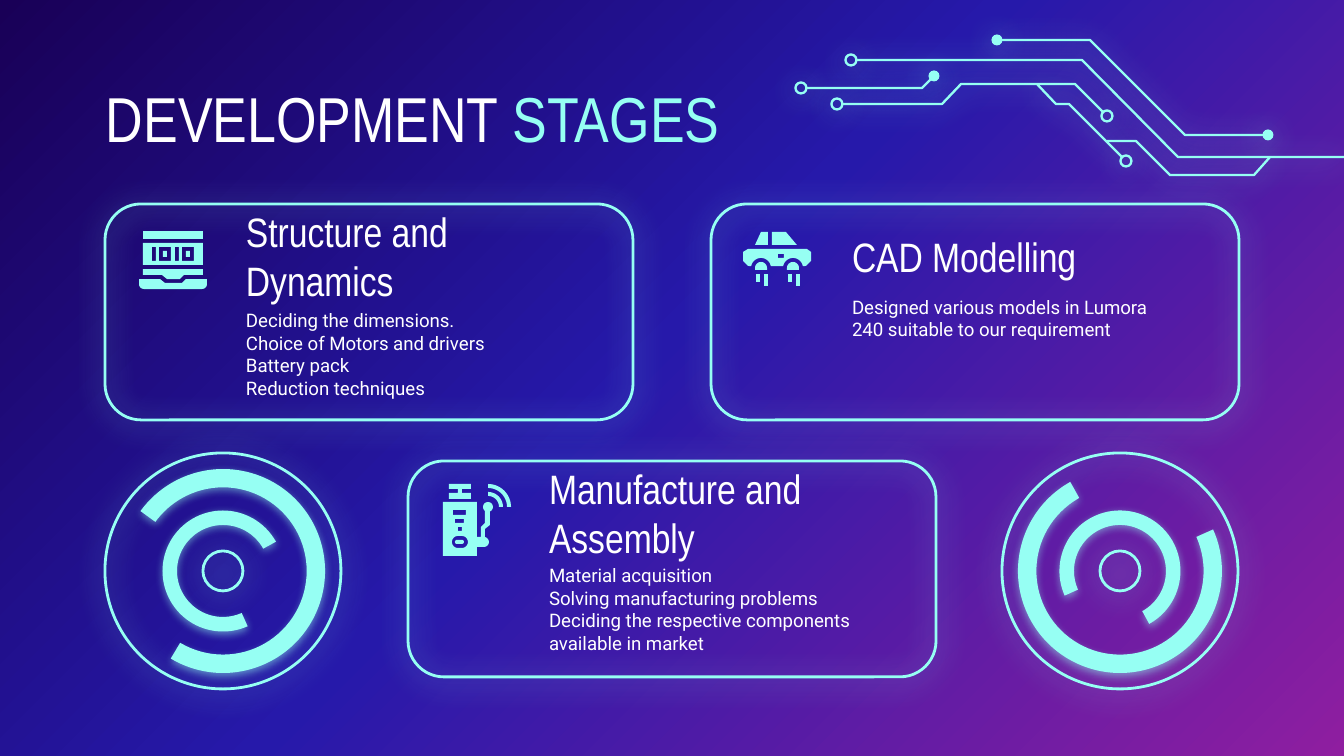
from math import cos, radians, sin

from pptx import Presentation
from pptx.dml.color import RGBColor
from pptx.enum.shapes import MSO_SHAPE
from pptx.enum.text import MSO_ANCHOR, PP_ALIGN
from pptx.oxml import parse_xml
from pptx.oxml.ns import nsdecls, qn
from pptx.util import Pt

PX = 914400 / 134.4
FINE = 100  # freeform units per px, so that arcs stay smooth
WIDTH, HEIGHT = 1344, 756
AQUA = RGBColor(0x96, 0xFF, 0xF3)
WHITE = RGBColor(0xFF, 0xFF, 0xFF)
BACKGROUND = [(0, RGBColor(0x19, 0x00, 0x57)), (48, RGBColor(0x26, 0x19, 0xAA)),
              (100, RGBColor(0x8F, 0x1E, 0xA0))]
HEADING_FONT, BODY_FONT = "Arial Narrow", "Roboto"
WIDE_GLOW = (67, 15.8)  # opacity in percent, blur in points
TIGHT_GLOW = (50, 4.5)


# Outline helpers: each returns a list of points
def box(left, top, right, bottom):
    return [(left, top), (right, top), (right, bottom), (left, bottom)]


def arc(x, y, radius, start, end, steps=16):
    angles = [radians(start + (end - start) * i / steps) for i in range(steps + 1)]
    return [(x + radius * cos(a), y + radius * sin(a)) for a in angles]


def band(x, y, inner, outer):
    return arc(x, y, outer, 270, 360) + arc(x, y, inner, 360, 270)


def pill(left, top, right, bottom):
    radius, middle = (bottom - top) / 2, (top + bottom) / 2
    return (arc(left + radius, middle, radius, 90, 270)
            + arc(right - radius, middle, radius, 270, 450))


def wheel(x):
    return arc(x, 268, 6, 180, 360) + [(x + 6, 270), (x - 6, 270)]


# Content: an icon is a list of parts, a part is an outline followed by its holes
LAPTOP = [
    [box(143, 231, 203, 239)],
    [box(143, 243, 203, 265), box(152, 247, 156, 261), box(159, 247, 171, 261),
     box(163, 251, 167, 257), box(175, 247, 179, 261), box(182, 247, 194, 261),
     box(186, 251, 190, 257)],
    [[(143, 269), (203, 269), (203, 275), (184, 275), (180, 279), (167, 279),
      (162, 275), (143, 275)]],
    [[(139, 279), (160, 279), (165, 283), (182, 283), (186, 279), (207, 279)]
     + arc(202, 284, 5, 0, 90) + arc(144, 284, 5, 90, 180)],
]
CAR = [
    [[(761, 232), (768, 232), (768, 245), (755, 245)]],
    [[(772, 232), (786, 232), (797, 245), (772, 245)]],
    [[(748, 249), (807, 249), (811, 252), (811, 261), (806, 266)]
     + arc(793, 268, 10, 350, 190) + arc(761, 268, 10, 350, 190)
     + [(748, 266), (743, 261), (743, 252)], box(778, 254, 784, 258)],
]
for axle in (761, 793):
    CAR += [[wheel(axle)], [box(axle - 5, 274, axle - 1, 282)],
            [box(axle + 3, 274, axle + 7, 286)]]
REMOTE = [
    [band(488, 507, 11, 15)],
    [band(488, 507, 19, 23)],
    [[(449, 484), (471, 484), (471, 489), (462, 489), (462, 493), (471, 493),
      (471, 499), (449, 499), (449, 493), (458, 493), (458, 489), (449, 489)]],
    [arc(488, 507, 5, 0, 360)],
    [[(443, 502), (477, 502), (477, 537), (481, 537), (481, 527), (485, 523),
      (485, 509), (490, 509), (490, 525), (485, 529), (485, 537)]
     + arc(484, 542, 5, -90, 90) + [(477, 547), (477, 556), (443, 556)],
     box(453, 510, 466, 515), box(455, 519, 464, 523), box(458, 527, 462, 531),
     pill(452, 536, 468, 548)],
    [pill(455, 540, 464, 544)],
]

TITLE = [("DEVELOPMENT ", WHITE), ("STAGES", AQUA)]
# left, top, icon, heading, lines, body offset, body height
CARDS = [
    (105, 204, LAPTOP, "Structure and Dynamics",
     ["Deciding the dimensions.", "Choice of Motors and drivers", "Battery pack",
      "Reduction techniques"], 108, 84),
    (711, 204, CAR, "CAD Modelling",
     ["Designed various models in Lumora 240 suitable to our requirement"], 61, 106),
    (408, 461, REMOTE, "Manufacture and Assembly",
     ["Material acquisition", "Solving manufacturing problems",
      "Deciding the respective components available in market"], 95, 106),
]
CARD_SIZE = (528, 216)
TEXT_OFFSET, TEXT_WIDTH = 128, 344

TRACES = [
    [(806, 88), (922, 88), (934, 76)],
    [(997, 40), (1090, 40), (1185, 135), (1268, 135)],
    [(856, 60), (1082, 60), (1178, 157), (1344, 157)],
    [(842, 104), (942, 104), (961, 84), (1075, 84), (1103, 112)],
    [(1037, 84), (1056, 104), (1069, 104), (1122, 157)],
    [(1107, 141), (1136, 141), (1170, 175), (1254, 175), (1270, 157)],
]
RINGS = [(801, 88), (851, 60), (837, 104), (1107, 116), (1126, 161)]
DOTS = [(934, 76), (997, 40), (1268, 135)]

# centre x, centre y, rotation of outer arc, rotation of inner arc
DIALS = [(223, 571, 90, 300), (1120, 571, 210, 30)]


def px(*values):
    return [round(value * PX) for value in values]


def style(shape, fill=None, line=None, glow=None):
    if fill is None:
        shape.fill.background()
    else:
        shape.fill.solid()
        shape.fill.fore_color.rgb = fill
    if line is None:
        shape.line.fill.background()
    else:
        shape.line.color.rgb = AQUA
        shape.line.width = Pt(line)
    shape.shadow.inherit = False
    if glow:
        opacity, blur = glow
        shape._element.spPr.find(qn("a:effectLst")).append(parse_xml(
            f'<a:outerShdw {nsdecls("a")} blurRad="{Pt(blur)}" dist="{Pt(1.5)}" '
            f'dir="5400000" algn="bl" rotWithShape="0"><a:srgbClr val="{AQUA}">'
            f'<a:alpha val="{opacity * 1000}"/></a:srgbClr></a:outerShdw>'))
    return shape


def add_outline(shapes, contours, close=True):
    fine = [[(x * FINE, y * FINE) for x, y in points] for points in contours]
    builder = shapes.build_freeform(*fine[0][0], scale=PX / FINE)
    for number, points in enumerate(fine):
        if number:
            builder.move_to(*points[0])
        builder.add_line_segments(points[1:], close=close)
    return builder.convert_to_shape()


def add_centred(shapes, kind, x, y, size):
    return shapes.add_shape(kind, *px(x - size / 2, y - size / 2, size, size))


def write(para, text, font, size, color):
    span = para.add_run()
    span.text = text
    for name, value in {"name": font, "size": Pt(size), "bold": False}.items():
        setattr(span.font, name, value)
    span.font.color.rgb = color


def add_text(page, place, lines, font, size):
    frame = page.shapes.add_textbox(*px(*place)).text_frame
    inset = px(13)[0]
    for name, value in {"word_wrap": True, "vertical_anchor": MSO_ANCHOR.MIDDLE,
                        "margin_left": inset, "margin_right": inset,
                        "margin_top": inset, "margin_bottom": inset}.items():
        setattr(frame, name, value)
    for number, line in enumerate(lines):
        para = frame.add_paragraph() if number else frame.paragraphs[0]
        write(para, line, font, size, WHITE)


def main():
    deck = Presentation()
    deck.slide_width, deck.slide_height = px(WIDTH, HEIGHT)
    page = deck.slides.add_slide(deck.slide_layouts[5])

    # Background gradient
    fill = page.background.fill
    fill.gradient()
    fill.gradient_angle = 315
    stops = page._element.find(".//" + qn("a:gsLst"))
    stops.clear()
    for position, color in BACKGROUND:
        stops.append(parse_xml(f'<a:gs {nsdecls("a")} pos="{position * 1000}">'
                               f'<a:srgbClr val="{color}"/></a:gs>'))

    # Title
    title = page.shapes.title
    title.left, title.top, title.width, title.height = px(106, 79, 1133, 85)
    frame = title.text_frame
    for side in ("left", "top", "right", "bottom"):
        setattr(frame, f"margin_{side}", 0)
    frame.vertical_anchor = MSO_ANCHOR.TOP
    frame.paragraphs[0].alignment = PP_ALIGN.LEFT
    for text, color in TITLE:
        write(frame.paragraphs[0], text, HEADING_FONT, 34, color)

    # Circuit traces
    circuit = page.shapes.add_group_shape().shapes
    for points in TRACES:
        style(add_outline(circuit, [points], close=False), line=1.25, glow=WIDE_GLOW)
    for x, y in RINGS:
        style(add_centred(circuit, MSO_SHAPE.OVAL, x, y, 11), line=1.25, glow=WIDE_GLOW)
    for x, y in DOTS:
        style(add_centred(circuit, MSO_SHAPE.OVAL, x, y, 11), fill=AQUA, glow=WIDE_GLOW)

    # Cards
    for left, top, icon, heading, lines, offset, height in CARDS:
        card = page.shapes.add_shape(MSO_SHAPE.ROUNDED_RECTANGLE,
                                     *px(left, top, *CARD_SIZE))
        style(card, line=1.5, glow=WIDE_GLOW)
        symbol = page.shapes.add_group_shape().shapes
        for part in icon:
            style(add_outline(symbol, part), fill=AQUA)
        text_left = left + TEXT_OFFSET
        add_text(page, (text_left, top + 23, TEXT_WIDTH, 58), [heading], HEADING_FONT, 22)
        add_text(page, (text_left, top + offset, TEXT_WIDTH, height), lines, BODY_FONT, 10)

    # Dials
    for x, y, outer_turn, inner_turn in DIALS:
        dial = page.shapes.add_group_shape().shapes
        for size in (236, 40):
            style(add_centred(dial, MSO_SHAPE.OVAL, x, y, size), line=1.5, glow=WIDE_GLOW)
        for size, turn, end, thickness in ((204, outer_turn, 18.5, 0.09),
                                           (121, inner_turn, 18.61, 0.12)):
            ring = add_centred(dial, MSO_SHAPE.BLOCK_ARC, x, y, size)
            for index, value in enumerate((75.58, end, thickness)):
                ring.adjustments[index] = value
            ring.rotation = turn
            style(ring, fill=AQUA, glow=TIGHT_GLOW)

    deck.save("out.pptx")


if __name__ == "__main__":
    main()
